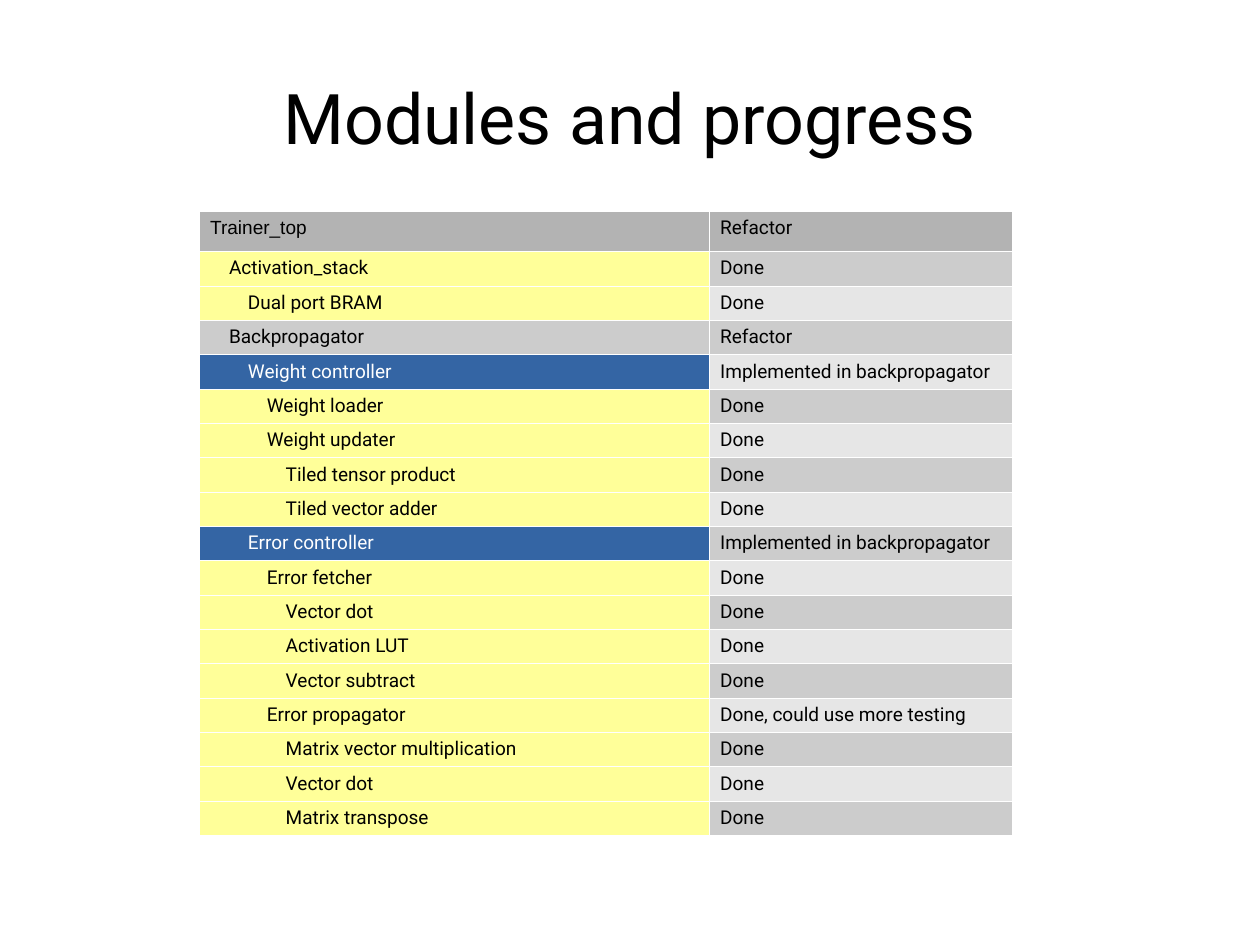
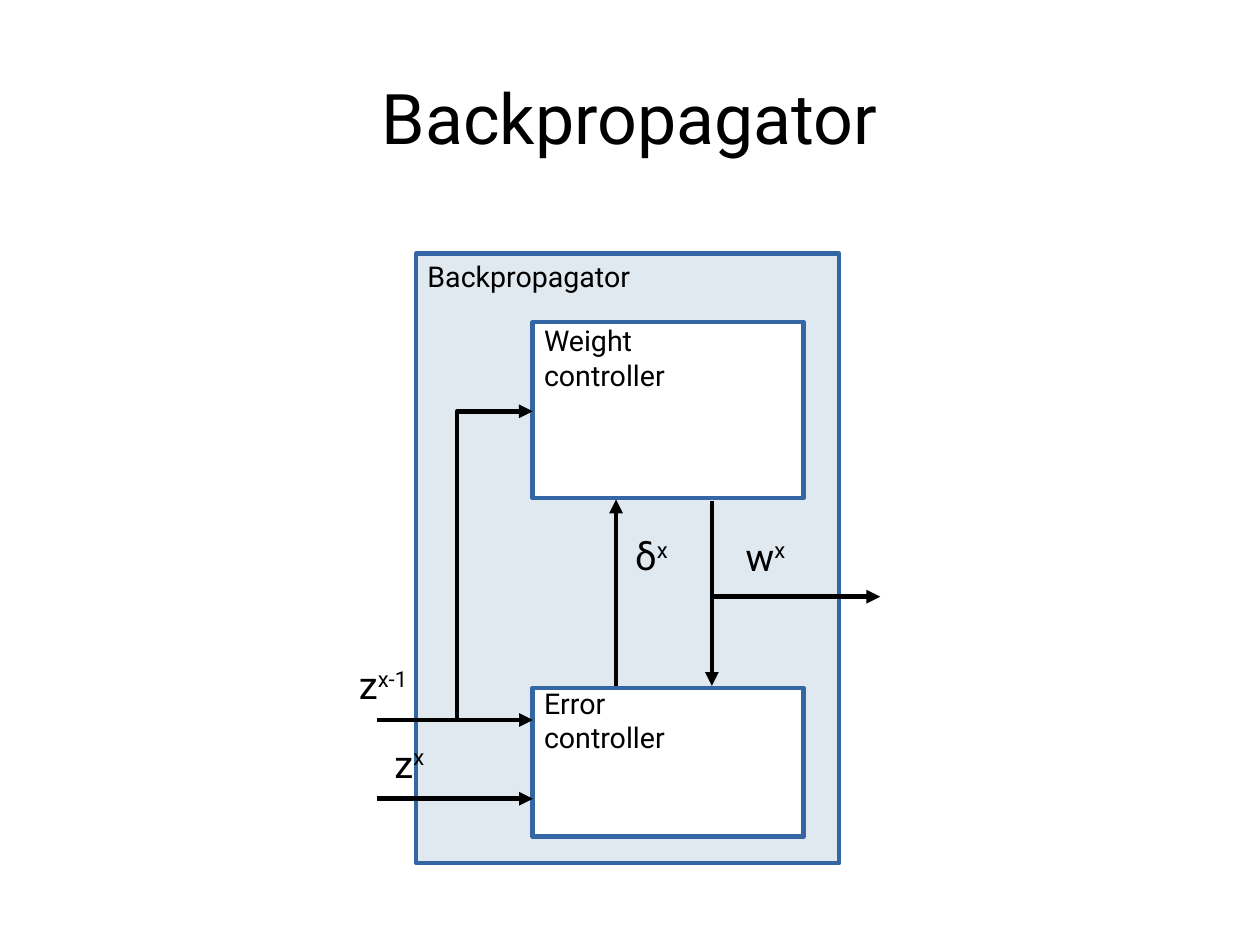
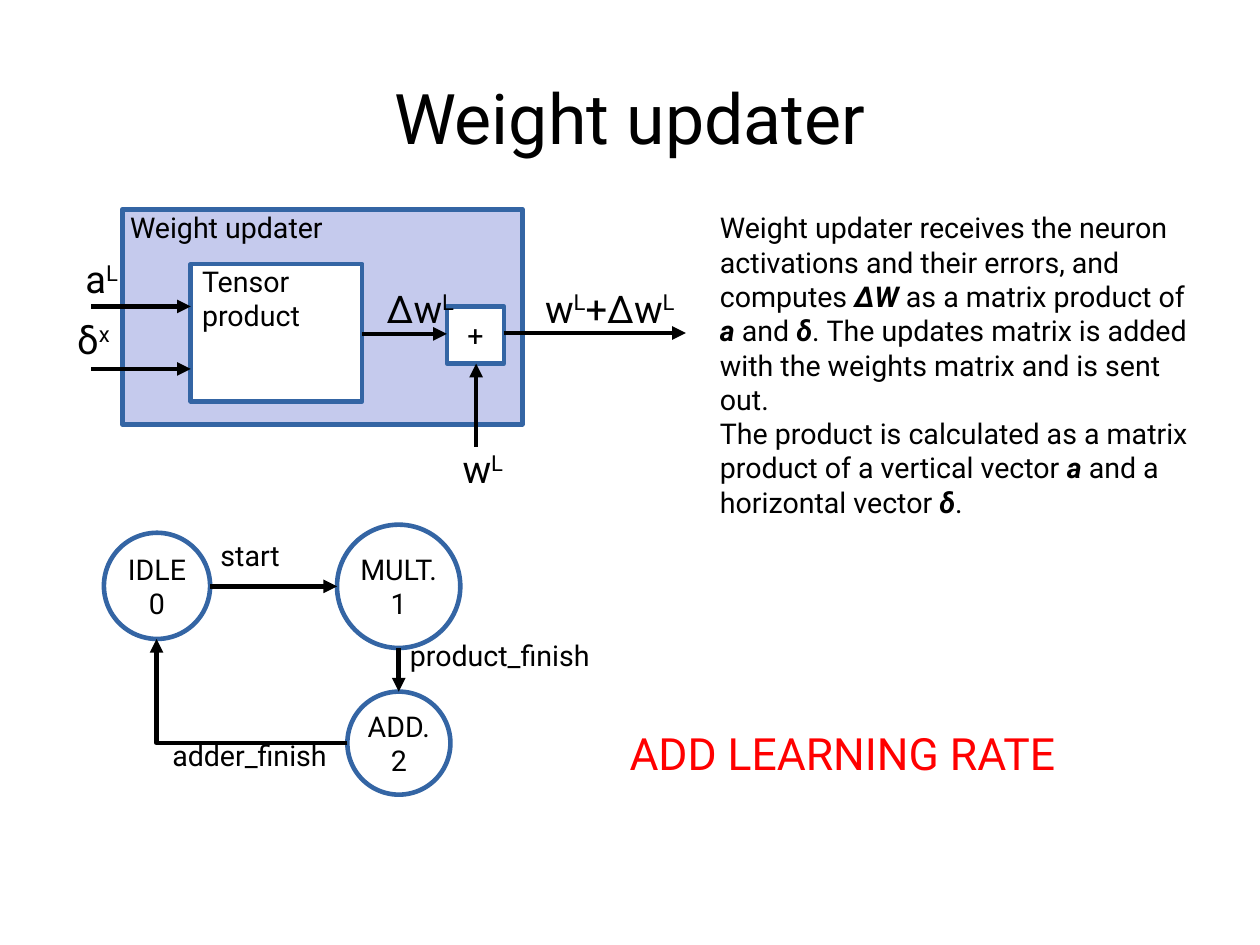
"""Builds three slides on the progress and design of a backpropagation trainer."""
from pptx import Presentation
from pptx.dml.color import RGBColor
from pptx.enum.shapes import MSO_CONNECTOR, MSO_SHAPE
from pptx.enum.text import MSO_ANCHOR, PP_ALIGN
from pptx.oxml import parse_xml
from pptx.oxml.ns import nsdecls
from pptx.util import Cm, Pt

BLACK = RGBColor(0x00, 0x00, 0x00)
WHITE = RGBColor(0xFF, 0xFF, 0xFF)
RED = RGBColor(0xFF, 0x00, 0x00)
BLUE = RGBColor(0x34, 0x65, 0xA4)
PALE = RGBColor(0xE0, 0xE9, 0xF0)
LILAC = RGBColor(0xC5, 0xCA, 0xED)
YELLOW = RGBColor(0xFF, 0xFF, 0x99)
HEAD = RGBColor(0xB3, 0xB3, 0xB3)
BANDS = [RGBColor(0xE6, 0xE6, 0xE6), RGBColor(0xCC, 0xCC, 0xCC)]
LEFT, CENTER, RIGHT = PP_ALIGN.LEFT, PP_ALIGN.CENTER, PP_ALIGN.RIGHT
STROKE = Pt(2.89)


def write(frame, text, size=18, color=BLACK, align=LEFT, font="Roboto", lift=True):
    """Fill a frame; parts between bars are superscript, or bold italic if not lift."""
    form = {"name": font, "size": Pt(size), "bold": False, "italic": False}
    for num, line in enumerate(text.split("\n")):
        para = frame.add_paragraph() if num else frame.paragraphs[0]
        para.alignment = align
        for part, words in enumerate(line.split("|")):
            if not words:
                continue
            run = para.add_run()
            run.text = words
            for key, val in form.items():
                setattr(run.font, key, val)
            run.font.color.rgb = color
            if part % 2 and lift:
                run._r.get_or_add_rPr().set("baseline", "33000")
            elif part % 2:
                run.font.bold = run.font.italic = True


def label(slide, left, top, width, height, text, **form):
    """Add a wrapped text box and return its frame."""
    box = slide.shapes.add_textbox(Cm(left), Cm(top), Cm(width), Cm(height))
    box.text_frame.word_wrap = True
    write(box.text_frame, text, **form)
    return box.text_frame


deck = Presentation()
deck.slide_width, deck.slide_height = Cm(28), Cm(21)
pages = []
for title in ["Modules and progress", "Backpropagator", "Weight updater"]:
    page = deck.slides.add_slide(deck.slide_layouts[6])
    frame = label(page, 1.4, 0.84, 25.2, 3.51, title, size=44, align=CENTER)
    frame.vertical_anchor = MSO_ANCHOR.MIDDLE
    for side in ["left", "right", "top", "bottom"]:
        setattr(frame, "margin_" + side, 0)
    pages.append(page)
plan, flow, update = pages

DONE, REDO, INNER = "Done", "Refactor", "Implemented in backpropagator"
tasks = [
    (0, "Trainer_top", REDO),
    (1, "Activation_stack", DONE),
    (2, "Dual port BRAM", DONE),
    (1, "Backpropagator", REDO),
    (2, "Weight controller", INNER),
    (3, "Weight loader", DONE),
    (3, "Weight updater", DONE),
    (4, "Tiled tensor product", DONE),
    (4, "Tiled vector adder", DONE),
    (2, "Error controller", INNER),
    (3, "Error fetcher", DONE),
    (4, "Vector dot", DONE),
    (4, "Activation LUT", DONE),
    (4, "Vector subtract", DONE),
    (3, "Error propagator", "Done, could use more testing"),
    (4, "Matrix vector multiplication", DONE),
    (4, "Vector dot", DONE),
    (4, "Matrix transpose", DONE),
]
table = plan.shapes.add_table(
    len(tasks), 2, Cm(4.42), Cm(4.7), Cm(18.06), Cm(13.81)).table
table.first_row = table.horz_banding = False
table.columns[0].width, table.columns[1].width = Cm(11.33), Cm(6.73)
for num, (level, name, state) in enumerate(tasks):
    table.rows[num].height = Cm(0.76 if num else 0.89)
    band = BANDS[num % 2] if num else HEAD
    tone = {REDO: band, INNER: BLUE}.get(state, YELLOW)
    ink = WHITE if state == INNER else BLACK
    face = "Roboto" if num else "Arial"
    cells = [(name, tone, ink, face), (state, band, BLACK, "Roboto")]
    for col, (text, fill, color, font) in enumerate(cells):
        cell = table.cell(num, col)
        for edge in "LRTB":
            cell._tc.get_or_add_tcPr().append(parse_xml(
                f'<a:ln{edge} {nsdecls("a")} w="762"><a:solidFill>'
                f'<a:srgbClr val="{WHITE}"/></a:solidFill></a:ln{edge}>'))
        cell.fill.solid()
        cell.fill.fore_color.rgb = fill
        write(cell.text_frame, text, size=12, color=color, font=font)
    table.cell(num, 0).margin_left = Cm(0.25 + 0.42 * level)

RECT, OVAL = MSO_SHAPE.RECTANGLE, MSO_SHAPE.OVAL
blocks = [
    (flow, RECT, 9.25, 5.64, 9.4, 13.54, PALE, ""),
    (flow, RECT, 11.84, 7.16, 6.02, 3.91, WHITE, ""),
    (flow, RECT, 11.84, 15.29, 6.02, 3.3, WHITE, ""),
    (update, RECT, 2.72, 4.65, 8.89, 4.78, LILAC, ""),
    (update, RECT, 4.24, 5.87, 3.81, 3.05, WHITE, ""),
    (update, RECT, 9.93, 6.81, 1.27, 1.27, WHITE, "+"),
    (update, OVAL, 2.31, 11.84, 2.36, 2.36, WHITE, "IDLE\n0"),
    (update, OVAL, 7.49, 11.66, 2.74, 2.74, WHITE, "MULT.\n1"),
    (update, OVAL, 7.72, 15.37, 2.29, 2.29, WHITE, "ADD.\n2"),
]
for page, kind, left, top, width, height, fill, text in blocks:
    block = page.shapes.add_shape(kind, Cm(left), Cm(top), Cm(width), Cm(height))
    block.shadow.inherit = False
    block.fill.solid()
    block.fill.fore_color.rgb = fill
    block.line.color.rgb = BLUE
    block.line.width = STROKE
    block.text_frame.word_wrap = False
    block.text_frame.vertical_anchor = MSO_ANCHOR.MIDDLE
    write(block.text_frame, text, align=CENTER)

arrows = [
    (flow, (15.82, 11.13), (15.82, 15.24)),
    (flow, (13.69, 15.24), (13.69, 11.1)),
    (flow, (8.38, 16), (11.84, 16)),
    (flow, (8.38, 17.75), (11.84, 17.75)),
    (flow, (15.8, 13.26), (19.56, 13.26)),
    (flow, (10.16, 16), (10.16, 9.14), (11.84, 9.14)),
    (update, (8.05, 7.42), (9.93, 7.42)),
    (update, (2.03, 6.81), (4.24, 6.81)),
    (update, (2.03, 8.2), (4.24, 8.2)),
    (update, (10.58, 9.93), (10.58, 8.08)),
    (update, (11.2, 7.4), (15.24, 7.4)),
    (update, (4.67, 13.03), (7.49, 13.03)),
    (update, (8.86, 14.4), (8.86, 15.37)),
    (update, (7.72, 16.51), (3.48, 16.51), (3.48, 14.2)),
]
for page, *stops in arrows:
    dots = [(Cm(x), Cm(y)) for x, y in stops]
    if len(dots) == 2:
        arrow = page.shapes.add_connector(MSO_CONNECTOR.STRAIGHT, *dots[0], *dots[1])
    else:
        pen = page.shapes.build_freeform(*dots[0], scale=1.0)
        pen.add_line_segments(dots[1:], close=False)
        arrow = pen.convert_to_shape()
        arrow.fill.background()
    arrow.line.color.rgb = BLACK
    arrow.line.width = STROKE
    arrow.line._get_or_add_ln().append(
        parse_xml(f'<a:tailEnd {nsdecls("a")} type="triangle"/>'))
    arrow._element.spPr.append(parse_xml(f'<a:effectLst {nsdecls("a")}/>'))

names = [
    (flow, 9.25, 5.64, 6.9, 1.2, "Backpropagator"),
    (flow, 11.84, 7.06, 6, 2, "Weight\ncontroller"),
    (flow, 11.84, 15.11, 6, 2, "Error\ncontroller"),
    (update, 2.64, 4.55, 5.4, 1.2, "Weight updater"),
    (update, 4.24, 5.74, 3.2, 2, "Tensor\nproduct"),
    (update, 4.65, 11.84, 2.2, 1.2, "start"),
    (update, 8.86, 14.05, 5, 1.2, "product_finish"),
    (update, 3.58, 16.28, 4.4, 1.2, "adder_finish"),
]
for page, *spot in names:
    label(page, *spot)

terms = [
    (flow, 9.3, 14.58, "z|x-1"),
    (flow, 9.68, 16.33, "z|x"),
    (flow, 17.7, 11.73, "w|x"),
    (flow, 15.09, 11.71, "δ|x"),
    (update, 2.87, 5.56, "a|L"),
    (update, 2.69, 6.91, "δ|x"),
    (update, 10.34, 6.22, "Δw|L"),
    (update, 15.24, 6.22, "w|L|+Δw|L"),
    (update, 11.43, 9.78, "w|L"),
]
for page, end, top, text in terms:
    width = 4 if "+" in text else 2.4
    label(page, end - width, top, width, 1.4, text, size=24, align=RIGHT)

label(update, 15.75, 4.55, 11.18, 8.84,
      "Weight updater receives the neuron activations and their errors, and "
      "computes |ΔW| as a matrix product of |a| and |δ|. The updates matrix is "
      "added with the weights matrix and is sent out.\n"
      "The product is calculated as a matrix product of a vertical vector |a| "
      "and a horizontal vector |δ|.", lift=False)
label(update, 13.74, 16, 12.2, 1.7, "ADD LEARNING RATE", size=28, color=RED)

deck.save("out.pptx")
